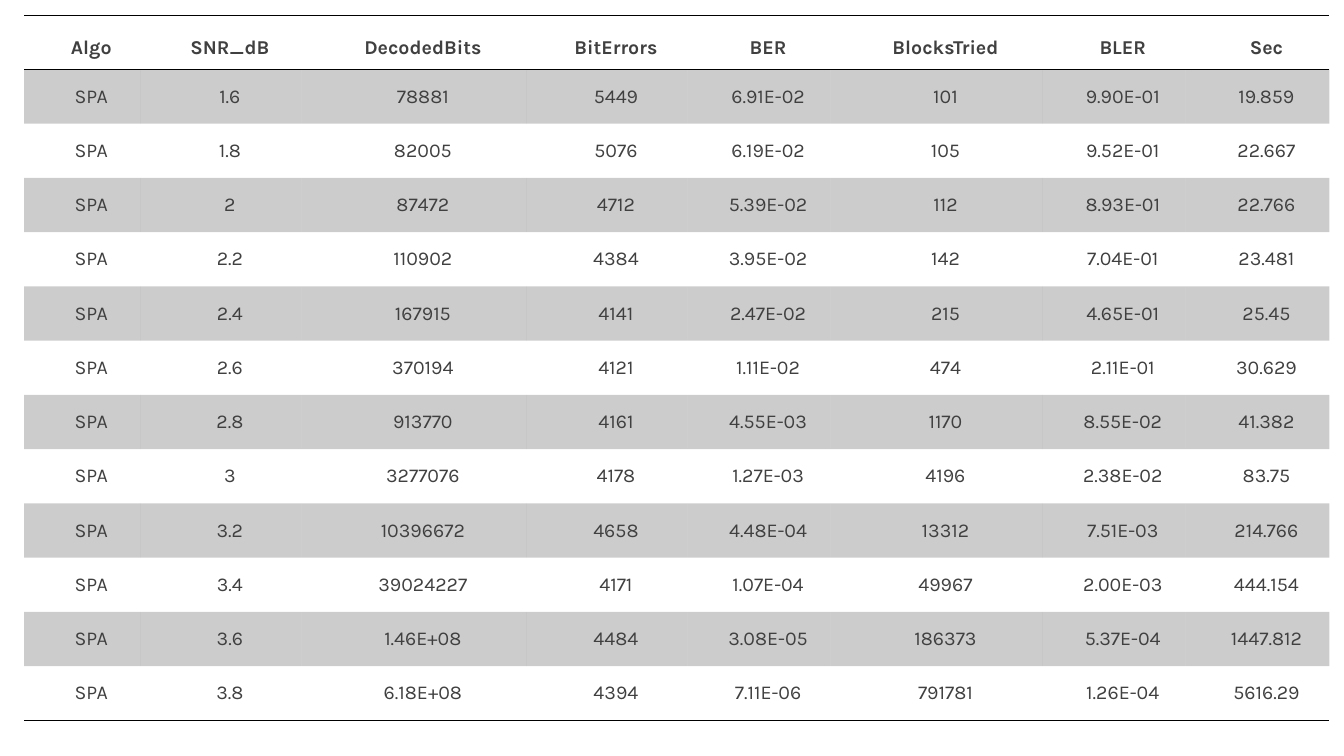
from dataclasses import dataclass

from lxml import etree
from pptx import Presentation
from pptx.dml.color import RGBColor
from pptx.enum.text import MSO_ANCHOR, PP_ALIGN
from pptx.oxml.ns import qn
from pptx.util import Pt

CENTER = PP_ALIGN.CENTER
MIDDLE, BOTTOM = MSO_ANCHOR.MIDDLE, MSO_ANCHOR.BOTTOM

# Content
ALGORITHM = "SPA"
HEADINGS = ["Algo", "SNR_dB", "DecodedBits", "BitErrors", "BER", "BlocksTried", "BLER", "Sec"]
RESULTS = [
    ("1.6", "78881", "5449", "6.91E-02", "101", "9.90E-01", "19.859"),
    ("1.8", "82005", "5076", "6.19E-02", "105", "9.52E-01", "22.667"),
    ("2", "87472", "4712", "5.39E-02", "112", "8.93E-01", "22.766"),
    ("2.2", "110902", "4384", "3.95E-02", "142", "7.04E-01", "23.481"),
    ("2.4", "167915", "4141", "2.47E-02", "215", "4.65E-01", "25.45"),
    ("2.6", "370194", "4121", "1.11E-02", "474", "2.11E-01", "30.629"),
    ("2.8", "913770", "4161", "4.55E-03", "1170", "8.55E-02", "41.382"),
    ("3", "3277076", "4178", "1.27E-03", "4196", "2.38E-02", "83.75"),
    ("3.2", "10396672", "4658", "4.48E-04", "13312", "7.51E-03", "214.766"),
    ("3.4", "39024227", "4171", "1.07E-04", "49967", "2.00E-03", "444.154"),
    ("3.6", "1.46E+08", "4484", "3.08E-05", "186373", "5.37E-04", "1447.812"),
    ("3.8", "6.18E+08", "4394", "7.11E-06", "791781", "1.26E-04", "5616.29"),
]


@dataclass(frozen=True)
class Theme:
    font: str = "Karla"
    size: float = 14
    text: str = "404040"
    ink: str = "000000"
    band_opacity: int = 20
    rule_width: float = 1


THEME = Theme()

# Layout, in points
PAGE_WIDTH, PAGE_HEIGHT = 960, 540
TABLE_LEFT, TABLE_TOP, TABLE_HEIGHT = 17.28, 10.8, 504
COLUMN_WIDTHS = [82.8, 115.2, 160.6, 115.2, 102.2, 151.2, 102.2, 103]
MARGIN_LEFT, MARGIN_RIGHT, MARGIN_VERTICAL = 13.7, 0.7, 7.2
PLAIN_STYLE = "{2D5ABB26-0587-4C30-8999-92F81FD0307C}"


def write_cell(cell, text, *, bold=False, anchor=MIDDLE):
    cell.margin_left, cell.margin_right = Pt(MARGIN_LEFT), Pt(MARGIN_RIGHT)
    cell.margin_top = cell.margin_bottom = Pt(MARGIN_VERTICAL)
    cell.vertical_anchor = anchor
    para = cell.text_frame.paragraphs[0]
    para.alignment = CENTER
    span = para.add_run()
    span.text = text
    span.font.name = THEME.font
    span.font.size = Pt(THEME.size)
    span.font.bold = bold
    span.font.color.rgb = RGBColor.from_string(THEME.text)


def add_solid_fill(parent, opacity=100):
    fill = etree.SubElement(parent, qn("a:solidFill"))
    color = etree.SubElement(fill, qn("a:srgbClr"), val=THEME.ink)
    if opacity < 100:
        etree.SubElement(color, qn("a:alpha"), val=str(opacity * 1000))


def format_cell(cell, *, rules=(), banded=False):
    """Rules come before the fill, as the cell schema requires."""
    properties = cell._tc.get_or_add_tcPr()
    for side in rules:
        rule = etree.SubElement(properties, qn(f"a:ln{side}"), w=str(Pt(THEME.rule_width)))
        add_solid_fill(rule)
    if banded:
        add_solid_fill(properties, THEME.band_opacity)
    else:
        cell.fill.background()


def main():
    deck = Presentation()
    deck.slide_width, deck.slide_height = Pt(PAGE_WIDTH), Pt(PAGE_HEIGHT)
    page = deck.slides.add_slide(deck.slide_layouts[6])

    # Table frame without a banded style
    rows = [HEADINGS] + [(ALGORITHM, *result) for result in RESULTS]
    frame = page.shapes.add_table(
        len(rows), len(HEADINGS), Pt(TABLE_LEFT), Pt(TABLE_TOP),
        Pt(sum(COLUMN_WIDTHS)), Pt(TABLE_HEIGHT))
    table = frame.table
    table.horz_banding = False
    table._tbl.tblPr.find(qn("a:tableStyleId")).text = PLAIN_STYLE
    for column, width in zip(table.columns, COLUMN_WIDTHS):
        column.width = Pt(width)

    # Heading row, then results with every other row shaded
    last = len(rows) - 1
    rules = {0: "TB", last: "B"}
    for row_index, values in enumerate(rows):
        heading = row_index == 0
        for column_index, value in enumerate(values):
            cell = table.cell(row_index, column_index)
            write_cell(cell, value, bold=heading, anchor=BOTTOM if heading else MIDDLE)
            format_cell(cell, rules=rules.get(row_index, ""), banded=row_index % 2 == 1)

    deck.save("out.pptx")


if __name__ == "__main__":
    main()
